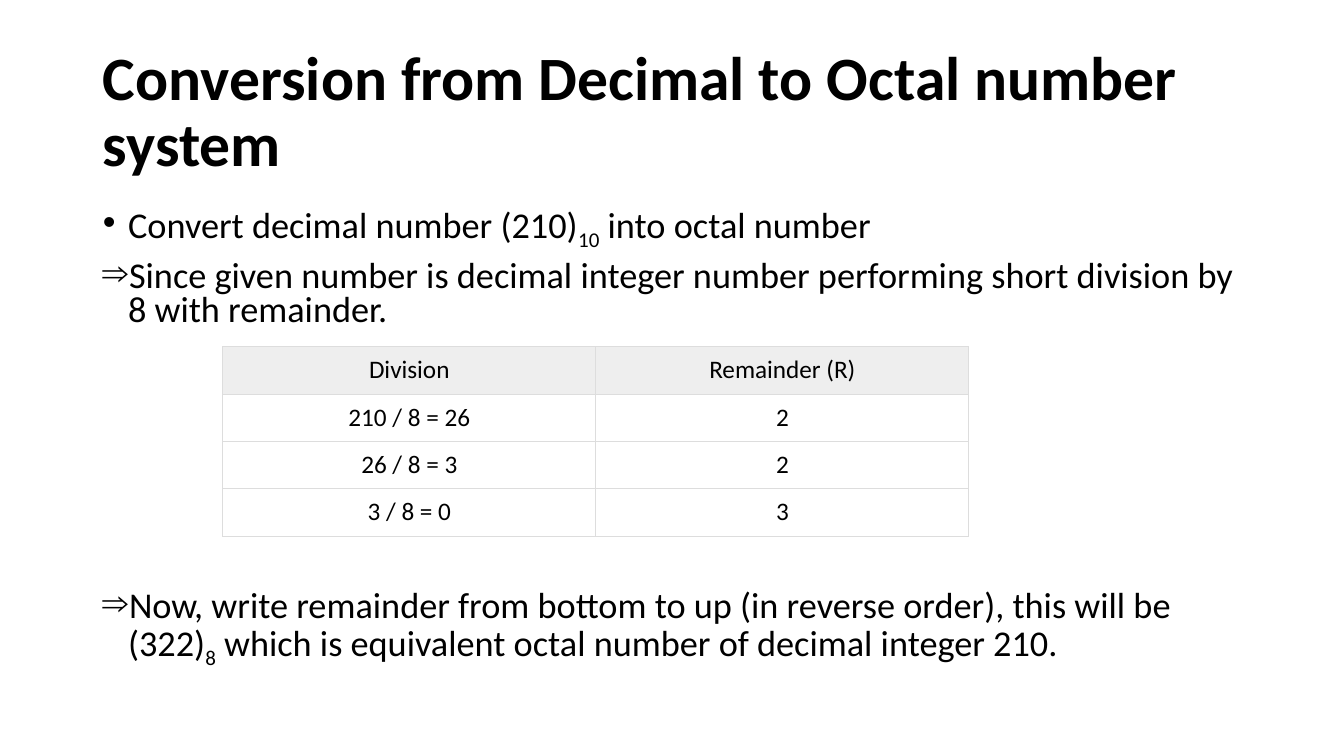
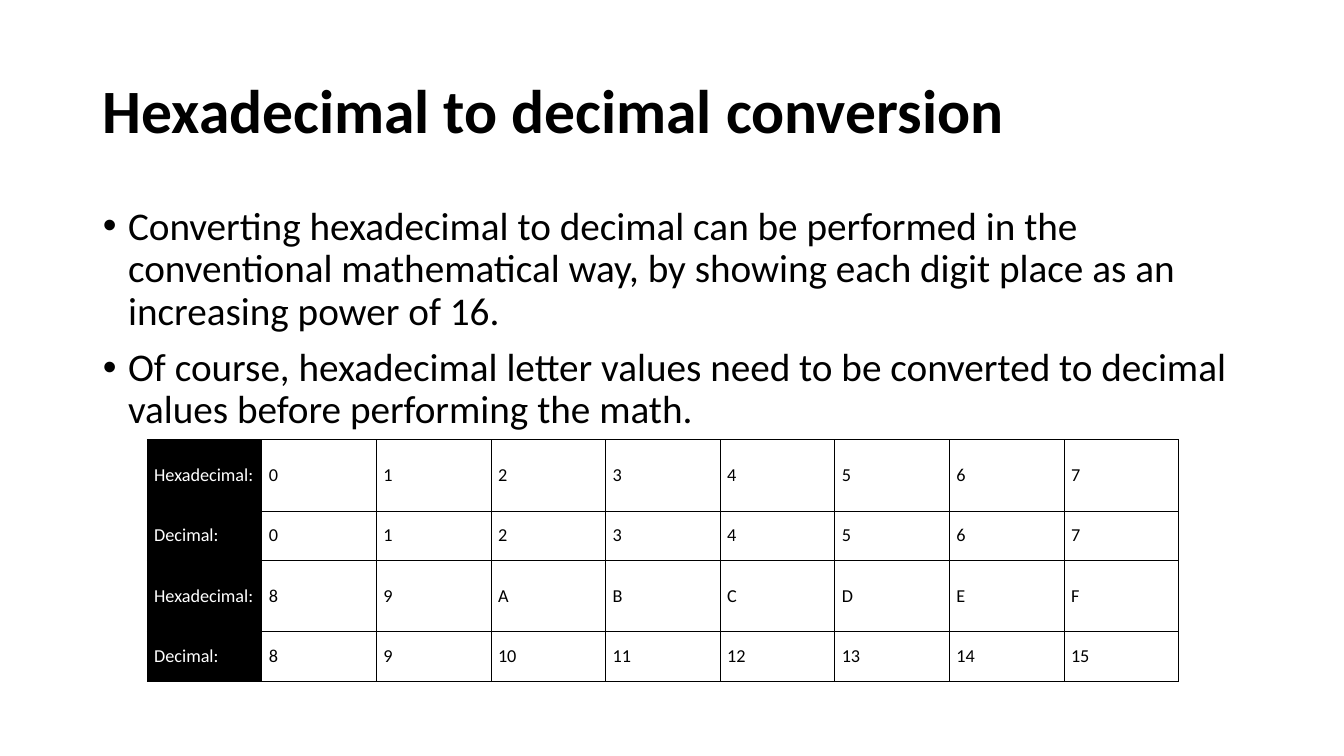
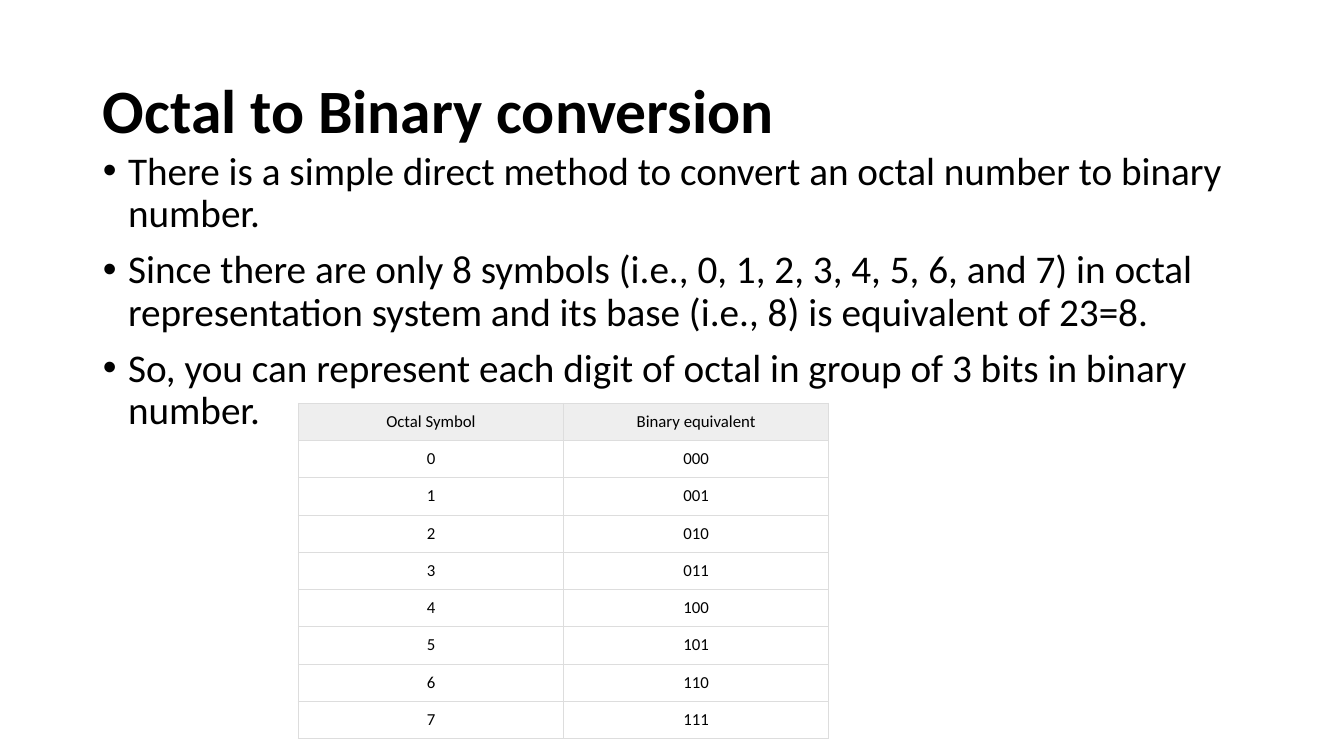
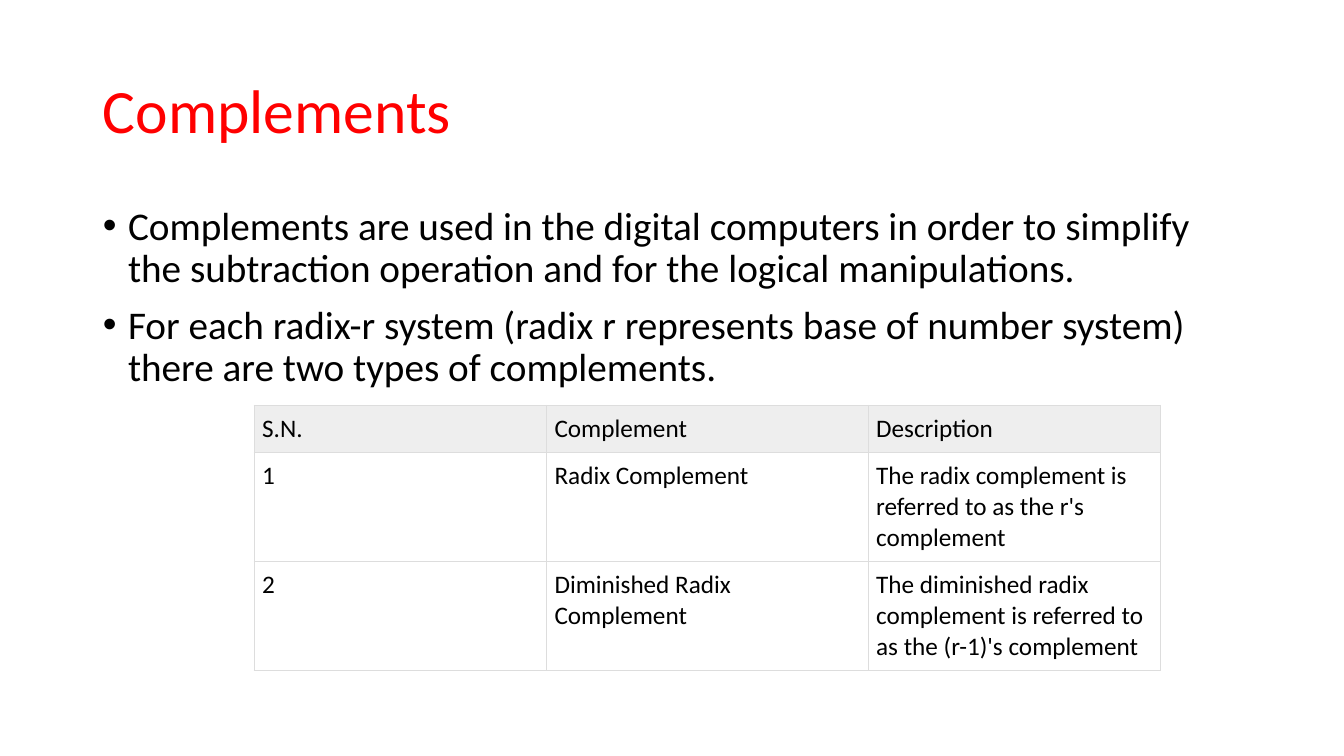
"""Build four slides on number system conversion and complements."""
from lxml import etree
from pptx import Presentation, util as u
from pptx.dml.color import RGBColor
from pptx.enum import text
from pptx.oxml import ns

FONT = "Calibri"
COLORS = {"ink": "000000", "paper": "FFFFFF", "accent": "FF0000",
          "header": "EEEEEE", "grid": "DDDDDD"}
LEFT, WIDTH, BODY_BOTTOM = 0.92, 11.5, 6.76
TITLE_TOP, TITLE_HEIGHT = 0.4, 1.45
INDENT = 0.25
PLAIN_TABLE = {"margins": (0.08, 0.08), "border": "grid", "header_row": True}

SLIDES = [
    {"title": "Conversion from Decimal to Octal number system",
     "size": 25.9, "line_spacing": 0.8,
     "body": [
         {"parts": ["Convert decimal number (210)", "10", " into octal number"]},
         {"parts": ["Since given number is decimal integer number performing "
                    "short division by 8 with remainder."], "bullet": "⇒"},
         {"parts": ["Now, write remainder from bottom to up (in reverse order), "
                    "this will be (322)", "8",
                    " which is equivalent octal number of decimal integer 210."],
          "bullet": "⇒", "before": 186},
     ],
     "table": {**PLAIN_TABLE, "at": (2.21, 3.44), "columns": [3.7] * 2,
               "heights": [0.47] * 4, "size": 18, "align": "CENTER",
               "rows": [["Division", "Remainder (R)"], ["210 / 8 = 26", "2"],
                        ["26 / 8 = 3", "2"], ["3 / 8 = 0", "3"]]}},
    {"title": "Hexadecimal to decimal conversion",
     "body": [
         {"parts": ["Converting hexadecimal to decimal can be performed in the "
                    "conventional mathematical way, by showing each digit place "
                    "as an increasing power of 16."]},
         {"parts": ["Of course, hexadecimal letter values need to be converted "
                    "to decimal values before performing the math."]},
     ],
     "table": {"at": (1.46, 4.36), "columns": [1.137] * 9,
               "heights": [0.71, 0.49] * 2, "size": 13, "anchor": "MIDDLE",
               "margins": (0.07, 0.04), "border": "ink", "header_column": True,
               "rows": [["Hexadecimal:", *"01234567"],
                        ["Decimal:", *"01234567"],
                        ["Hexadecimal:", *"89ABCDEF"],
                        ["Decimal:", *map(str, range(8, 16))]]}},
    {"title": "Octal to Binary conversion", "body_top": 1.45,
     "body": [
         {"parts": ["There is a simple direct method to convert an octal number "
                    "to binary number."]},
         {"parts": ["Since there are only 8 symbols (i.e., 0, 1, 2, 3, 4, 5, 6, "
                    "and 7) in octal representation system and its base "
                    "(i.e., 8) is equivalent of 23=8."]},
         {"parts": ["So, you can represent each digit of octal in group of "
                    "3 bits in binary number."]},
     ],
     "table": {**PLAIN_TABLE, "at": (2.96, 4), "columns": [2.63] * 2,
               "heights": [0.37] * 9, "size": 12, "align": "CENTER",
               "rows": [["Octal Symbol", "Binary equivalent"],
                        *([str(n), f"{n:03b}"] for n in range(8))]}},
    {"title": "Complements", "title_color": "accent", "title_bold": False,
     "body": [
         {"parts": ["Complements are used in the digital computers in order to "
                    "simplify the subtraction operation and for the logical "
                    "manipulations."]},
         {"parts": ["For each radix-r system (radix r represents base of number "
                    "system) there are two types of complements."]},
     ],
     "table": {**PLAIN_TABLE, "at": (2.52, 4.02), "columns": [2.9, 3.19, 2.9],
               "heights": [0.47, 1.08, 1.08], "size": 18,
               "rows": [["S.N.", "Complement", "Description"],
                        ["1", "Radix Complement",
                         "The radix complement is referred to as the r's complement"],
                        ["2", "Diminished Radix Complement",
                         "The diminished radix complement is referred to as "
                         "the (r-1)'s complement"]]}},
]


def write(paragraph, parts, size, color="ink", bold=False, align="LEFT",
          line_spacing=1.0, before=0, bullet=None):
    """Fill a paragraph; every second part is a subscript."""
    paragraph.alignment = getattr(text.PP_ALIGN, align)
    paragraph.line_spacing = line_spacing
    paragraph.space_before = u.Pt(before)
    for index, part in enumerate(parts):
        run = paragraph.add_run()
        run.text = part
        run.font.name, run.font.size, run.font.bold = FONT, u.Pt(size), bold
        run.font.color.rgb = RGBColor.from_string(COLORS[color])
        if index % 2:
            run.font._element.set("baseline", "-25000")
    if bullet:
        properties = paragraph._p.get_or_add_pPr()
        properties.set("marL", str(u.Inches(INDENT)))
        properties.set("indent", str(-u.Inches(INDENT)))
        etree.SubElement(properties, ns.qn("a:buFont"), typeface="Arial")
        etree.SubElement(properties, ns.qn("a:buChar"), char=bullet)


def place(shape, top, height, anchor):
    """Set the frame of a placeholder on the shared column."""
    shape.left, shape.width = u.Inches(LEFT), u.Inches(WIDTH)
    shape.top, shape.height = u.Inches(top), u.Inches(height)
    shape.text_frame.auto_size = text.MSO_AUTO_SIZE.NONE
    shape.text_frame.word_wrap = True
    shape.text_frame.vertical_anchor = anchor


def add_borders(cell, color):
    """Draw a thin line on all four sides of a cell."""
    properties = cell._tc.get_or_add_tcPr()
    for side in ("lnL", "lnR", "lnT", "lnB"):
        line = etree.SubElement(properties, ns.qn(f"a:{side}"), w=str(u.Pt(0.75)))
        fill = etree.SubElement(line, ns.qn("a:solidFill"))
        etree.SubElement(fill, ns.qn("a:srgbClr"), val=COLORS[color])


def add_grid(slide, at, columns, heights, rows, size, margins, border,
             align="LEFT", anchor="TOP", header_row=False, header_column=False):
    """Add a table with its own fills, borders and margins."""
    frame = slide.shapes.add_table(
        len(rows), len(columns), *map(u.Inches, at),
        u.Inches(sum(columns)), u.Inches(sum(heights)))
    table = frame.table
    table.first_row = table.horz_banding = False
    for column, width in zip(table.columns, columns):
        column.width = u.Inches(width)
    for row_index, values in enumerate(rows):
        table.rows[row_index].height = u.Inches(heights[row_index])
        for column_index, value in enumerate(values):
            cell = table.cell(row_index, column_index)
            fill, color = "paper", "ink"
            if header_row and row_index == 0:
                fill = "header"
            elif header_column and column_index == 0:
                fill, color = "ink", "paper"
            add_borders(cell, border)
            cell.fill.solid()
            cell.fill.fore_color.rgb = RGBColor.from_string(COLORS[fill])
            cell.margin_left = cell.margin_right = u.Inches(margins[0])
            cell.margin_top = cell.margin_bottom = u.Inches(margins[1])
            cell.vertical_anchor = getattr(text.MSO_ANCHOR, anchor)
            write(cell.text_frame.paragraphs[0], [value], size, color, align=align)


def add_slide(presentation, content):
    """Add one slide with a title, a list and a table."""
    slide = presentation.slides.add_slide(presentation.slide_layouts[1])
    title, body = slide.placeholders
    place(title, TITLE_TOP, TITLE_HEIGHT, text.MSO_ANCHOR.MIDDLE)
    write(title.text_frame.paragraphs[0], [content["title"]], 44,
          content.get("title_color", "ink"), content.get("title_bold", True),
          line_spacing=0.9)
    top = content.get("body_top", 2)
    place(body, top, BODY_BOTTOM - top, text.MSO_ANCHOR.TOP)
    for index, item in enumerate(content["body"]):
        frame = body.text_frame
        paragraph = frame.add_paragraph() if index else frame.paragraphs[0]
        write(paragraph, size=content.get("size", 28),
              line_spacing=content.get("line_spacing", 0.9),
              **{"bullet": "•", "before": 10, **item})
    add_grid(slide, **content["table"])


def main():
    """Build and save the presentation."""
    presentation = Presentation()
    presentation.slide_width = u.Inches(13.33)
    presentation.slide_height = u.Inches(7.5)
    for content in SLIDES:
        add_slide(presentation, content)
    presentation.save("out.pptx")


if __name__ == "__main__":
    main()
